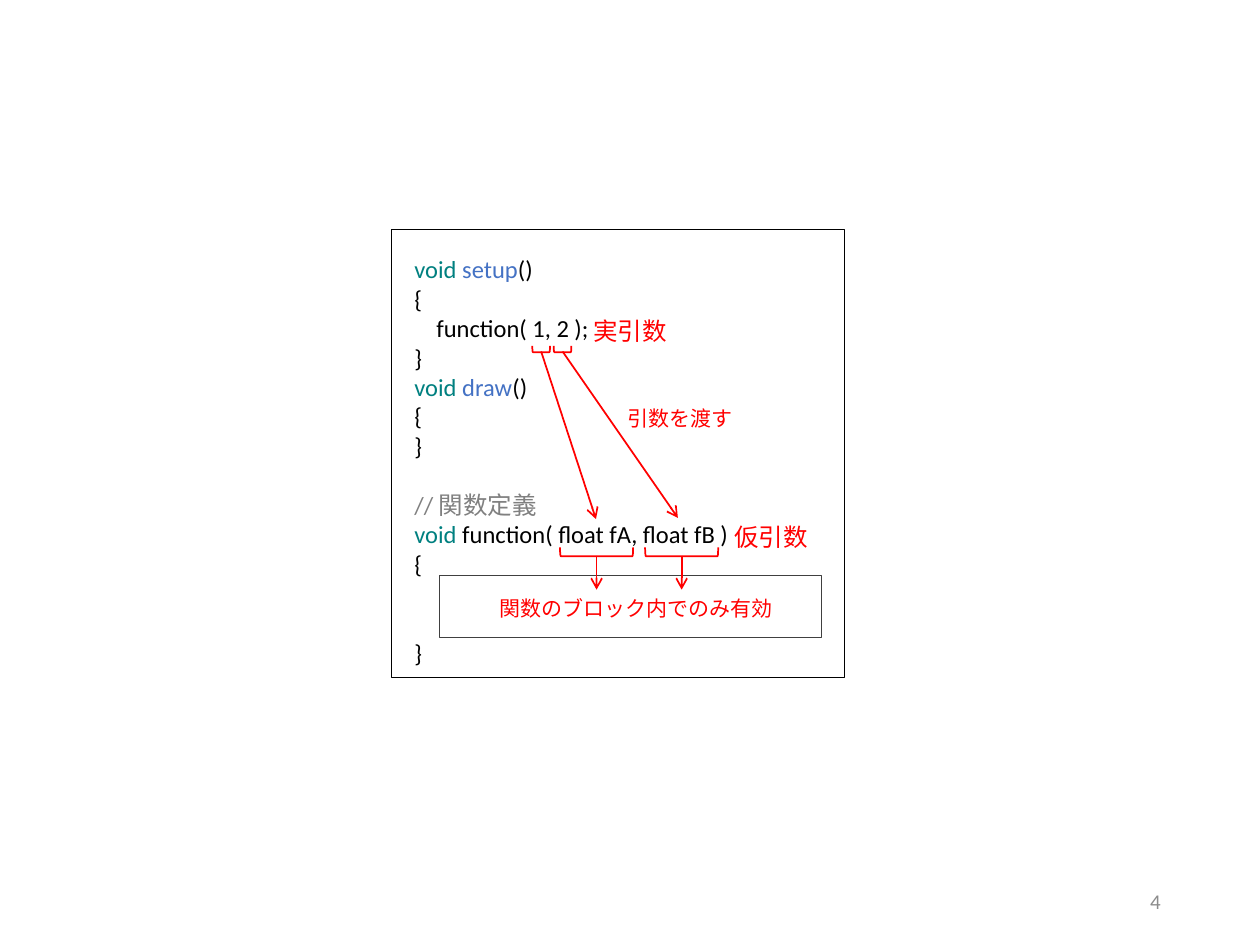
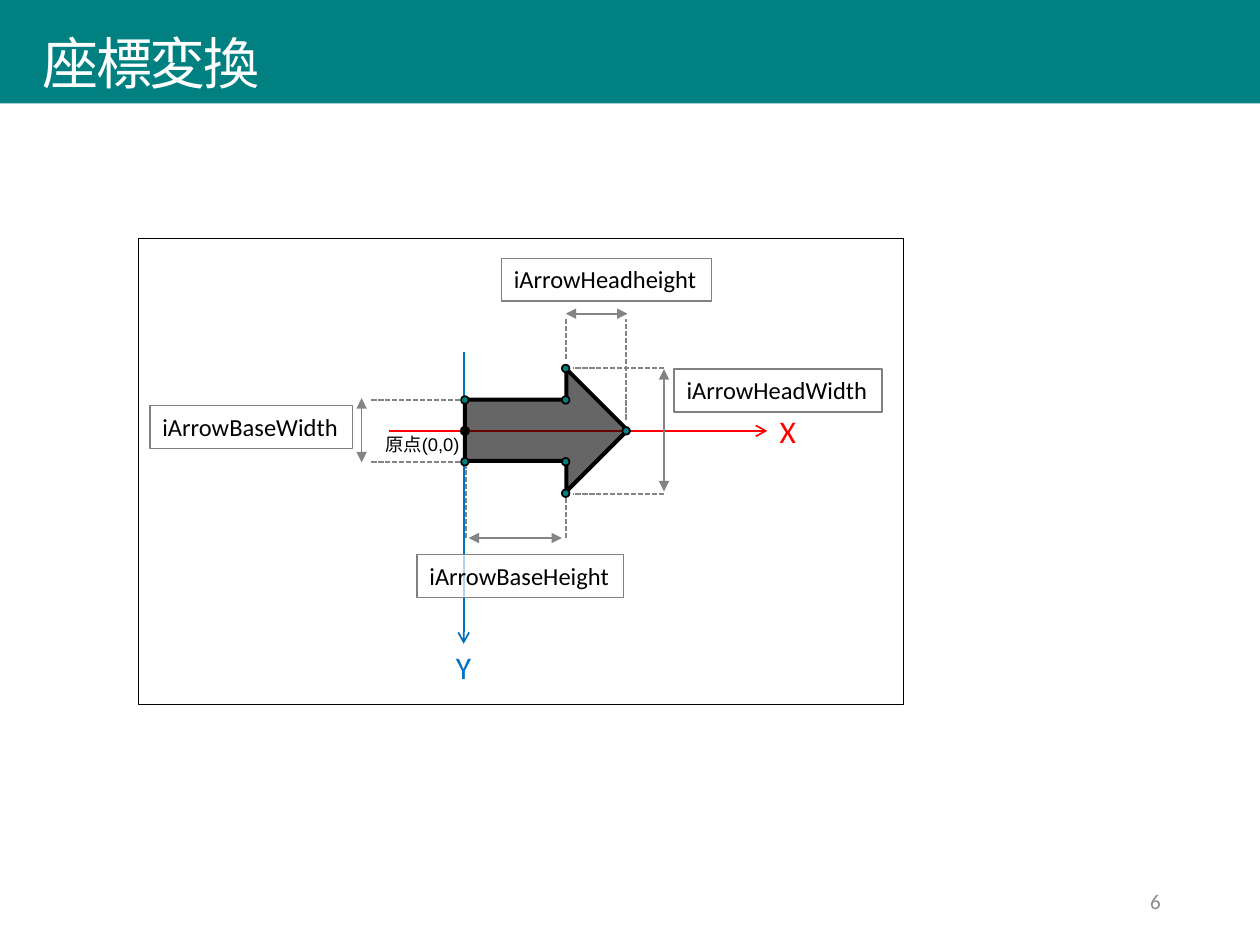
from dataclasses import dataclass
from typing import NamedTuple

from pptx import Presentation
from pptx.dml.color import RGBColor
from pptx.enum import dml, shapes, text
from pptx.oxml import ns
from pptx.util import Inches, Length, Pt
from lxml import etree

# Shared look
TEAL = RGBColor(0x00, 0x80, 0x80)
RED = RGBColor(0xFF, 0x00, 0x00)
AXIS_BLUE = RGBColor(0x00, 0x70, 0xC0)
CODE_BLUE = RGBColor(0x44, 0x72, 0xC4)
BLACK = RGBColor(0x00, 0x00, 0x00)
WHITE = RGBColor(0xFF, 0xFF, 0xFF)
GRAY = RGBColor(0x80, 0x80, 0x80)
DARK_GRAY = RGBColor(0x40, 0x40, 0x40)
MEASURE_GRAY = RGBColor(0x84, 0x84, 0x84)
NUMBER_GRAY = RGBColor(0x8C, 0x8C, 0x8C)
LATIN, JAPANESE = "Calibri", "Noto Sans CJK JP"

# The slide is a grid of 100 columns by 75 rows
COLUMNS, ROWS = 100, 75
CELL = Inches(10) / COLUMNS
TITLE_ONLY, BLANK = 5, 6


class Area(NamedTuple):
    left: float
    top: float
    width: float
    height: float


class Point(NamedTuple):
    x: float
    y: float


class Span(NamedTuple):
    words: str
    color: RGBColor = BLACK


@dataclass
class CodeLine:
    spans: list[Span]
    indent: float = 0
    gap: float = 0


@dataclass
class Label:
    words: str
    area: Area
    color: RGBColor = RED
    size: float = 14
    font: str = LATIN
    wrap: bool = False


def cells(*counts: float) -> list[Length]:
    return [Length(round(count * CELL)) for count in counts]


def add_span(para, span: Span, size: float, font: str = LATIN):
    run = para.add_run()
    run.text = span.words
    run.font.name = font
    run.font.size = Pt(size)
    run.font.color.rgb = span.color
    east_asian = etree.SubElement(run.font._element, ns.qn("a:ea"))
    east_asian.set("typeface", JAPANESE)
    return run


def set_opacity(shape, percent: int) -> None:
    color = shape.fill._xPr.find(ns.qn("a:solidFill"))[0]
    etree.SubElement(color, ns.qn("a:alpha")).set("val", str(percent * 1000))


def add_shape(page, kind, area: Area, fill=None, line=None, width: float = 1):
    shape = page.shapes.add_shape(kind, *cells(*area))
    shape.shadow.inherit = False
    if fill is None:
        shape.fill.background()
    else:
        shape.fill.solid()
        shape.fill.fore_color.rgb = fill
    if line is None:
        shape.line.fill.background()
    else:
        shape.line.color.rgb = line
        shape.line.width = Pt(width)
    return shape


def add_frame(page, area: Area, color: RGBColor = BLACK) -> None:
    add_shape(page, shapes.MSO_SHAPE.RECTANGLE, area, line=color, width=0.5)


def add_line(page, start: Point, end: Point, color: RGBColor,
             dashed: bool = False, head: str = "", tail: str = "") -> None:
    line = page.shapes.add_connector(
        shapes.MSO_CONNECTOR.STRAIGHT, *cells(*start, *end))
    line.line.color.rgb = color
    line.line.width = Pt(1)
    if dashed:
        line.line.dash_style = dml.MSO_LINE.SQUARE_DOT
    properties = line._element.spPr
    outline = properties.find(ns.qn("a:ln"))
    for tag, arrow in (("a:headEnd", head), ("a:tailEnd", tail)):
        if arrow:
            etree.SubElement(outline, ns.qn(tag)).set("type", arrow)
    etree.SubElement(properties, ns.qn("a:effectLst"))


def add_label(page, label: Label):
    box = page.shapes.add_textbox(*cells(*label.area))
    frame = box.text_frame
    frame.word_wrap = label.wrap
    frame.auto_size = text.MSO_AUTO_SIZE.SHAPE_TO_FIT_TEXT
    add_span(frame.paragraphs[0], Span(label.words, label.color),
             label.size, label.font)
    return box


def add_boxed_label(page, words: str, area: Area) -> None:
    box = add_label(page, Label(words, area, BLACK))
    box.fill.solid()
    box.fill.fore_color.rgb = WHITE
    set_opacity(box, 70)
    box.line.color.rgb = GRAY
    box.line.width = Pt(0.75)


def add_dot(page, center: Point, size: float, line=None, fill=TEAL) -> None:
    area = Area(center.x - size / 2, center.y - size / 2, size, size)
    add_shape(page, shapes.MSO_SHAPE.OVAL, area, fill, line)


def add_bracket(page, center: Point, length: float, depth: float) -> None:
    """A bracket lying under a piece of code, open to the top."""
    area = Area(center.x - depth / 2, center.y - length / 2, depth, length)
    bracket = add_shape(page, shapes.MSO_SHAPE.LEFT_BRACKET, area, line=RED)
    bracket.rotation = 270


def add_code(page, area: Area, lines: list[CodeLine]) -> None:
    box = page.shapes.add_textbox(*cells(*area))
    frame = box.text_frame
    frame.word_wrap = True
    for index, line in enumerate(lines):
        para = frame.add_paragraph() if index else frame.paragraphs[0]
        para.space_before = Pt(line.gap)
        if line.indent:
            properties = para._p.get_or_add_pPr()
            properties.set("marL", str(cells(line.indent)[0]))
        for span in line.spans:
            add_span(para, span, 14)


def add_page_number(page, number: int) -> None:
    box = page.shapes.add_textbox(*cells(70.6, 69.5, 22.5, 4))
    frame = box.text_frame
    frame.word_wrap = True
    frame.vertical_anchor = text.MSO_ANCHOR.MIDDLE
    para = frame.paragraphs[0]
    para.alignment = text.PP_ALIGN.RIGHT
    add_span(para, Span(str(number), NUMBER_GRAY), 12)


def set_title(page, words: str) -> None:
    title = page.shapes.title
    title.left, title.top, title.width, title.height = cells(0, 0, COLUMNS, 8.2)
    title.fill.solid()
    title.fill.fore_color.rgb = TEAL
    frame = title.text_frame
    frame.auto_size = text.MSO_AUTO_SIZE.NONE
    frame.vertical_anchor = text.MSO_ANCHOR.BOTTOM
    para = frame.paragraphs[0]
    para.alignment = text.PP_ALIGN.LEFT
    para.line_spacing = 0.9
    para._p.get_or_add_pPr().set("marL", str(cells(2.4)[0]))
    run = add_span(para, Span(words, WHITE), 32, JAPANESE)
    run.font._element.set("spc", "-150")


def build_arguments_page(deck) -> None:
    page = deck.slides.add_slide(deck.slide_layouts[BLANK])
    add_page_number(page, 4)

    # Code listing
    opening, closing = [Span("{")], [Span("}")]
    void = Span("void ", TEAL)
    add_code(page, Area(31.9, 19.7, 29, 34), [
        CodeLine([void, Span("setup", CODE_BLUE), Span("()")]),
        CodeLine(opening),
        CodeLine([Span("function( 1, 2 );")], indent=1.75),
        CodeLine(closing),
        CodeLine([void, Span("draw", CODE_BLUE), Span("()")]),
        CodeLine(opening),
        CodeLine(closing),
        CodeLine([Span("// 関数定義", GRAY)], gap=17),
        CodeLine([void, Span("function( float fA, float fB )")]),
        CodeLine(opening),
        CodeLine(closing, gap=34),
    ])
    add_frame(page, Area(31.1, 18.2, 35.9, 35.6))
    add_frame(page, Area(34.9, 45.7, 30.3, 4.9), DARK_GRAY)

    # Each argument is passed to its parameter, then used in the block
    for argument_x, parameter_x, target in (
            (42.95, 47.35, Point(47.3, 41.2)), (44.65, 54.1, Point(53.8, 41.1))):
        add_bracket(page, Point(argument_x, 27.7), 1.4, 0.5)
        add_bracket(page, Point(parameter_x, 43.8), 5.8, 0.7)
        add_line(page, Point(argument_x, 27.9), target, RED, tail="arrow")
        add_line(page, Point(parameter_x, 44.1), Point(parameter_x, 46.8),
                 RED, tail="arrow")

    # Remarks
    for label in (
            Label("仮引数", Area(57.3, 40.9, 7.9, 3.4)),
            Label("実引数", Area(46.1, 24.6, 7.9, 3.4)),
            Label("引数を渡す", Area(48.8, 31.7, 11.9, 3), size=12, wrap=True),
            Label("関数のブロック内でのみ有効", Area(38.7, 46.8, 24.3, 3),
                  size=12, wrap=True)):
        add_label(page, label)


def build_coordinates_page(deck) -> None:
    page = deck.slides.add_slide(deck.slide_layouts[TITLE_ONLY])
    set_title(page, "座標変換")
    add_page_number(page, 6)
    add_frame(page, Area(11, 18.9, 60.7, 37))

    # Axes
    add_line(page, Point(30.9, 34.2), Point(60.9, 34.2), RED, tail="arrow")
    add_line(page, Point(36.8, 27.9), Point(36.8, 51.1), AXIS_BLUE, tail="arrow")
    for label in (
            Label("X", Area(60.9, 32.2, 3.3, 4), RED, 18),
            Label("Y", Area(35.2, 50.9, 3.2, 4), AXIS_BLUE, 18),
            Label("原点(0,0)", Area(29.6, 33.9, 10.1, 2.9), BLACK, 10.5,
                  "Arial", True)):
        add_label(page, label)

    # Block arrow and its corners
    base, neck, tip = 36.9, 44.9, 49.7
    middle, base_half, head_half = 34.2, 2.45, 4.95
    arrow = add_shape(page, shapes.MSO_SHAPE.RIGHT_ARROW,
                      Area(base, 29.3, 12.9, 9.7), BLACK, BLACK, 2.25)
    set_opacity(arrow, 60)
    add_dot(page, Point(base, middle), 0.8, fill=BLACK)
    corners = [Point(tip, middle)]
    for side in (-1, 1):
        corners += [Point(base, middle + side * base_half),
                    Point(neck, middle + side * base_half),
                    Point(neck, middle + side * head_half)]
    for corner in corners:
        add_dot(page, corner, 0.6, BLACK)

    # Extension lines
    for side in (-1, 1):
        base_y, head_y = middle + side * base_half, middle + side * 5
        add_line(page, Point(36.5, base_y), Point(29.4, base_y),
                 MEASURE_GRAY, dashed=True)
        add_line(page, Point(52.7, head_y), Point(45.5, head_y),
                 MEASURE_GRAY, dashed=True)
    for x, start, end in ((neck, 42.7, 39.5), (37, 42.7, 37),
                          (tip, 33.3, 25.3), (neck, 28.5, 25.3)):
        add_line(page, Point(x, start), Point(x, end), MEASURE_GRAY, dashed=True)

    # Measures and their names
    for start, end, words, area in (
            (Point(28.7, 31.6), Point(28.7, 36.7), "iArrowBaseWidth",
             Area(11.9, 32.2, 16.1, 3.4)),
            (Point(44.6, 42.7), Point(37.2, 42.7), "iArrowBaseHeight",
             Area(33.1, 44, 16.4, 3.4)),
            (Point(52.7, 29.3), Point(52.7, 39), "iArrowHeadWidth",
             Area(53.5, 29.3, 16.5, 3.4)),
            (Point(49.8, 24.9), Point(44.9, 24.9), "iArrowHeadheight",
             Area(39.8, 20.5, 16.7, 3.4))):
        add_line(page, start, end, MEASURE_GRAY, head="triangle", tail="triangle")
        add_boxed_label(page, words, area)


deck = Presentation()
deck.slide_width, deck.slide_height = cells(COLUMNS, ROWS)
build_arguments_page(deck)
build_coordinates_page(deck)
deck.save("out.pptx")
